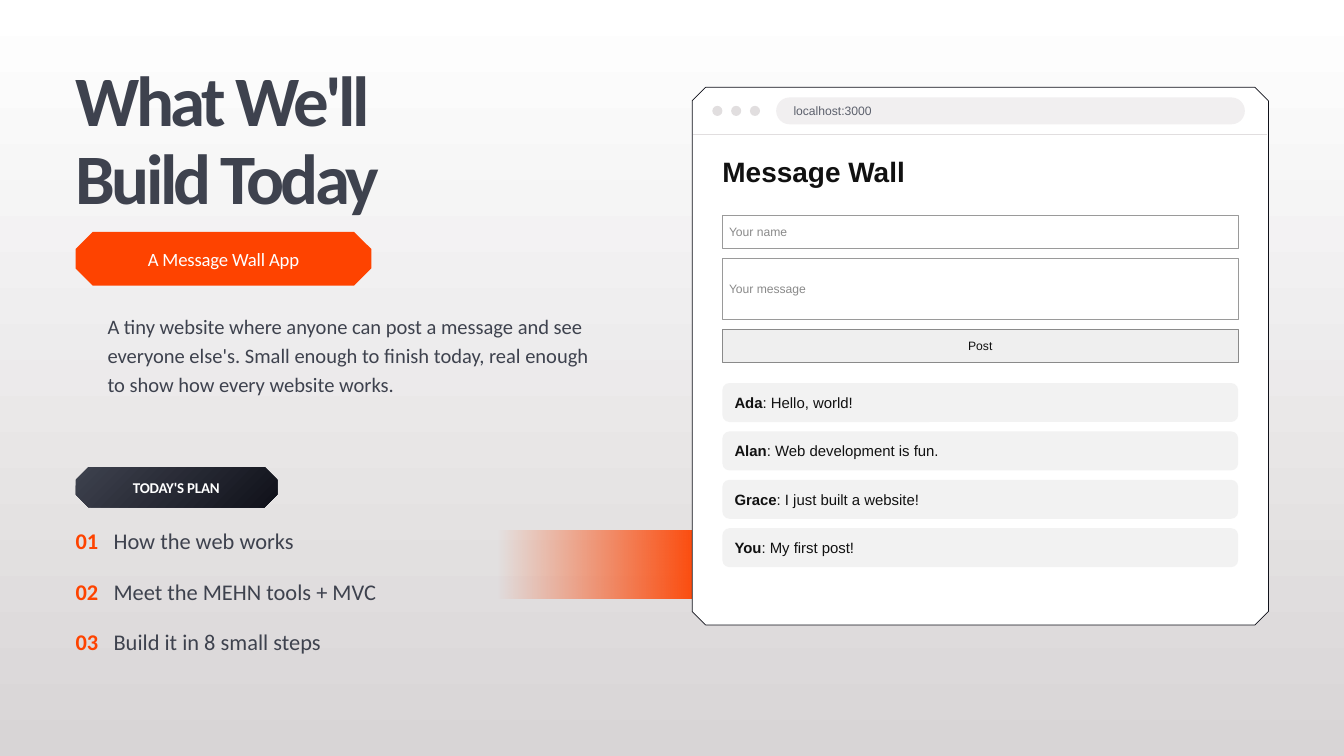
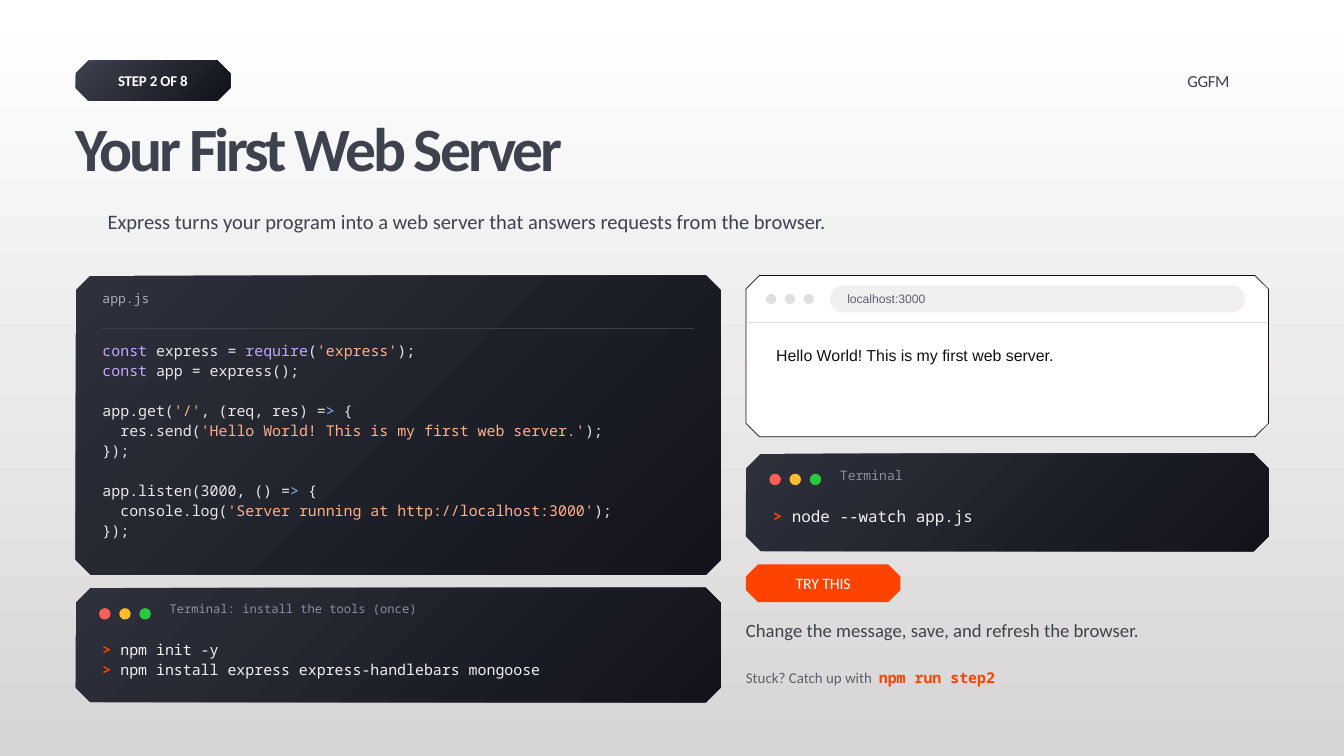
from pptx import Presentation
from pptx.dml.color import RGBColor
from pptx.enum.shapes import MSO_CONNECTOR, MSO_SHAPE
from pptx.enum.text import MSO_ANCHOR, MSO_AUTO_SIZE, PP_ALIGN
from pptx.oxml.ns import qn
from pptx.util import Pt
from lxml import etree

RECT, ROUND, OVAL = MSO_SHAPE.RECTANGLE, MSO_SHAPE.ROUNDED_RECTANGLE, MSO_SHAPE.OVAL
LINE = MSO_CONNECTOR.STRAIGHT
TOP, MIDDLE = MSO_ANCHOR.TOP, MSO_ANCHOR.MIDDLE
LEFT, CENTER = PP_ALIGN.LEFT, PP_ALIGN.CENTER
FIXED = MSO_AUTO_SIZE.NONE

SANS, WEB, MONO = "Calibri", "Arial", "Noto Sans Mono"
INK = ("3E424E", "10111A", 45)
NIGHT = ("2E313C", "12131B", 45)
PAPER = ("FFFFFF", "D8D5D6", 90)
ORANGE, WHITE, BLACK, GREY = "FE4300", "FFFFFF", "111111", "5C606C"
PALE, BAR = "E1DEDF", "F1EFF0"
KEY, QUOTE, ARROW, PLAIN = "C3A6FF", "FFB089", "8FB8FF", "E8E8EC"
LIGHTS = ("FF5F57", "FEBC2E", "28C840")
EDGE, END = 81, 1359


def paint(fill, color):
    if isinstance(color, str):
        fill.solid()
        fill.fore_color.rgb = RGBColor.from_string(color)
        return
    first, last, angle = color
    fill.gradient()
    fill.gradient_angle = (360 - angle) % 360
    for stop, tone in zip(fill.gradient_stops, (first, last)):
        stop.color.rgb = RGBColor.from_string(tone)


class Deck:
    def __init__(self):
        self.prs = Presentation()
        self.prs.slide_width, self.prs.slide_height = Pt(1440), Pt(810)
        paint(self.prs.slide_master.background.fill, PAPER)

    def start(self):
        self.slide = self.prs.slides.add_slide(self.prs.slide_layouts[5])
        self.shapes = self.slide.shapes

    def put(self, frame, paras, size, color=INK, font=SANS, bold=False, space=None,
            align=LEFT, track=0, anchor=TOP, pad=(0, 0), tab=None):
        frame.word_wrap = True
        frame.auto_size = FIXED
        frame.vertical_anchor = anchor
        frame.margin_left, frame.margin_right = Pt(pad[0]), Pt(pad[1])
        frame.margin_top = frame.margin_bottom = 0
        for i, runs in enumerate(paras):
            para = frame.add_paragraph() if i else frame.paragraphs[0]
            if tab:
                tabs = etree.SubElement(para._p.get_or_add_pPr(), qn("a:tabLst"))
                etree.SubElement(tabs, qn("a:tab"), pos=str(Pt(tab)), algn="l")
            para.alignment = align
            if space:
                para.line_spacing = space
            for part in [runs] if isinstance(runs, str) else runs:
                style = {"color": color, "bold": bold, "font": font}
                if isinstance(part, tuple):
                    part, extra = part
                    style.update(extra)
                run = para.add_run()
                run.text = part
                run.font.size = Pt(size)
                run.font.name = style["font"]
                run.font.bold = style["bold"]
                paint(run.font.fill, style["color"])
                if track:
                    run._r.get_or_add_rPr().set("spc", str(round(track * 100)))

    def title(self, x, y, w, h, paras, size):
        item = self.shapes.title
        item.left, item.top, item.width, item.height = Pt(x), Pt(y), Pt(w), Pt(h)
        self.put(item.text_frame, paras, size, bold=True, space=0.92, track=-size / 20)

    def text(self, x, y, w, h, paras, size, **style):
        item = self.shapes.add_textbox(Pt(x), Pt(y), Pt(w), Pt(h))
        self.put(item.text_frame, paras, size, **style)

    def finish(self, item, fill, line=None):
        item.shadow.inherit = False
        paint(item.fill, fill)
        if line:
            paint(item.line.fill, line)
            item.line.width = Pt(0.75)
        else:
            item.line.fill.background()
        return item

    def shape(self, kind, x, y, w, h, fill, line=None, curve=None):
        item = self.shapes.add_shape(kind, Pt(x), Pt(y), Pt(w), Pt(h))
        if curve:
            item.adjustments[0] = curve
        return self.finish(item, fill, line)

    def panel(self, x, y, w, h, cut, fill, line=None):
        r, b = x + w, y + h
        spots = [(r, y + cut), (r, b - cut), (r - cut, b), (x + cut, b),
                 (x, b - cut), (x, y + cut), (x + cut, y)]
        build = self.shapes.build_freeform(Pt(r - cut), Pt(y))
        build.add_line_segments([(Pt(a), Pt(c)) for a, c in spots])
        return self.finish(build.convert_to_shape(), fill, line)

    def pill(self, x, y, w, h, label, size, fill=INK, bold=True):
        item = self.panel(x, y, w, h, 0.32 * h, fill)
        self.put(item.text_frame, [label], size, WHITE, bold=bold, align=CENTER,
                 track=-0.2, anchor=MIDDLE, pad=(7.2, 7.2))

    def rule(self, x, y, end, color):
        item = self.shapes.add_connector(LINE, Pt(x), Pt(y), Pt(end), Pt(y))
        paint(item.line.fill, color)
        item.line.width = Pt(0.86)
        etree.SubElement(item._element.spPr, qn("a:effectLst"))

    def dots(self, x, y, size, step, colors):
        for i, color in enumerate(colors):
            self.shape(OVAL, x + i * step, y, size, size, color)

    def browser(self, x, y, h):
        w = END - x
        self.panel(x, y, w, h, 14.4, WHITE, INK[1])
        self.dots(x + 21.6, y + 19.8, 10.8, 20.16, [PALE] * 3)
        bar = self.shape(ROUND, x + 90, y + 10.8, w - 115.2, 28.8, BAR, curve=0.5)
        self.put(bar.text_frame, ["localhost:3000"], 13, GREY, WEB,
                 anchor=MIDDLE, pad=(14.4, 7.2))
        self.rule(x + 1.44, y + 50.4, END - 1.44, PALE)

    def shell(self, x, y, w, h, label, small, cmds, size):
        self.panel(x, y, w, h, 15.84, NIGHT)
        self.dots(x + 25.2, y + 21.6, 12.24, 21.6, LIGHTS)
        self.text(x + 100.8, y + 14.4, w - 129.6, 28.8, [label], small,
                  color="8B90A0", font=MONO)
        mark = ("> ", {"color": ORANGE, "bold": True})
        self.text(x + 28.8, y + 54, w - 57.6, h - 64.8, [[mark, cmd] for cmd in cmds],
                  size, color="F2F2F5", font=MONO, space=1.12)

    def field(self, y, h, label, fill=WHITE, line="9A9A9A", color="8A8A8A",
              align=LEFT, pad=(7.2, 7.2)):
        item = self.shape(RECT, 774, y, 552.6, h, fill, line)
        self.put(item.text_frame, [label], 13, color, WEB, align=align,
                 anchor=MIDDLE, pad=pad)

    def post(self, y, name, words):
        item = self.shape(ROUND, 774, y, 552.6, 41.76, "F2F2F2", curve=0.18)
        self.put(item.text_frame, [[(name, {"bold": True}), ": " + words]], 16,
                 BLACK, WEB, anchor=MIDDLE, pad=(10.8, 7.2))


def plan(deck):
    deck.start()
    deck.title(EDGE, 68.4, 648, 158.4, ["What We'll", "Build Today"], 76)
    deck.pill(EDGE, 248.4, 316.8, 57.6, "A Message Wall App", 20, ORANGE, False)
    deck.text(115.2, 331.2, 534.24, 144,
              ["A tiny website where anyone can post a message and see everyone else's. "
               "Small enough to finish today, real enough to show how every website works."],
              22, space=1.18)
    deck.pill(EDGE, 500.4, 216, 43.2, "TODAY'S PLAN", 16)
    goals = ["How the web works", "Meet the MEHN tools + MVC", "Build it in 8 small steps"]
    for i, goal in enumerate(goals):
        mark = (f"{i + 1:02}", {"color": ORANGE, "bold": True})
        deck.text(EDGE, 565.2 + 54 * i, 504, 43.2, [[mark, "\t" + goal]], 24, tab=40.7)

    glow = deck.shape(RECT, 532.8, 568.8, 223.2, 72, (ORANGE, ORANGE, 0))
    tone = next(glow._element.spPr.iter(qn("a:srgbClr")))
    etree.SubElement(tone, qn("a:alpha"), val="0")

    deck.browser(741.6, 93.6, 576)
    deck.text(774, 165.6, 552.6, 50.4, ["Message Wall"], 30, color=BLACK, font=WEB, bold=True)
    deck.field(230.4, 36, "Your name")
    deck.field(277.2, 64.8, "Your message")
    deck.field(352.8, 36, "Post", "EFEFEF", "8A8A8A", BLACK, CENTER, (0, 0))
    posts = [("Ada", "Hello, world!"), ("Alan", "Web development is fun."),
             ("Grace", "I just built a website!"), ("You", "My first post!")]
    for i, (name, words) in enumerate(posts):
        deck.post(410.4 + 51.84 * i, name, words)


def server(deck):
    deck.start()
    deck.pill(EDGE, 64.8, 165.6, 43.2, "STEP 2 OF 8", 16)
    deck.text(1272.24, 76.32, 115.2, 28.8, ["GGFM"], 18, track=-0.4)
    deck.title(EDGE, 126, 1260, 79.2, ["Your First Web Server"], 66)
    deck.text(115.2, 219.6, 1239.84, 64.8,
              ["Express turns your program into a web server that answers requests "
               "from the browser."], 22, space=1.18)

    def key(word):
        return word, {"color": KEY}

    def quote(word):
        return word, {"color": QUOTE}

    arrow = (">", {"color": ARROW})
    code = [
        [key("const"), " express = ", key("require"), "(", quote("'express'"), ");"],
        [key("const"), " app = express();"],
        " ",
        ["app.get(", quote("'/'"), ", (req, res) =", arrow, " {"],
        ["  res.send(", quote("'Hello World! This is my first web server.'"), ");"],
        "});",
        " ",
        ["app.listen(3000, () =", arrow, " {"],
        ["  console.log(", quote("'Server running at http://localhost:3000'"), ");"],
        "});",
    ]
    left, wide = EDGE + 28.8, 633.6
    deck.panel(EDGE, 295.2, 691.2, 320.4, 15.84, NIGHT)
    deck.text(left, 311.04, wide, 32.4, ["app.js"], 14, color="A9AEBD", font=MONO)
    deck.rule(left, 351.36, left + wide, "3A3E4B")
    deck.text(left, 363.6, wide, 241.2, code, 16, color=PLAIN, font=MONO, space=1.12)
    deck.shell(EDGE, 630, 691.2, 122.4, "Terminal: install the tools (once)", 13,
               ["npm init -y", "npm install express express-handlebars mongoose"], 16)

    side = 799.2
    room = END - side
    deck.browser(side, 295.2, 172.8)
    deck.text(831.6, 370.8, 495, 72, ["Hello World! This is my first web server."], 17,
              color=BLACK, font=WEB)
    deck.shell(side, 486, room, 104.4, "Terminal", 14, ["node --watch app.js"], 17)
    deck.pill(side, 604.8, 165.6, 40.32, "TRY THIS", 17, ORANGE, False)
    deck.text(side, 658.8, room, 54, ["Change the message, save, and refresh the browser."],
              20, space=1.18)
    hint = ("npm run step2", {"color": ORANGE, "bold": True, "font": MONO})
    deck.text(side, 716.4, room, 28.8, [["Stuck? Catch up with\t", hint]], 16,
              color=GREY, tab=142.5)


def main():
    deck = Deck()
    plan(deck)
    server(deck)
    deck.prs.save("out.pptx")


if __name__ == "__main__":
    main()
